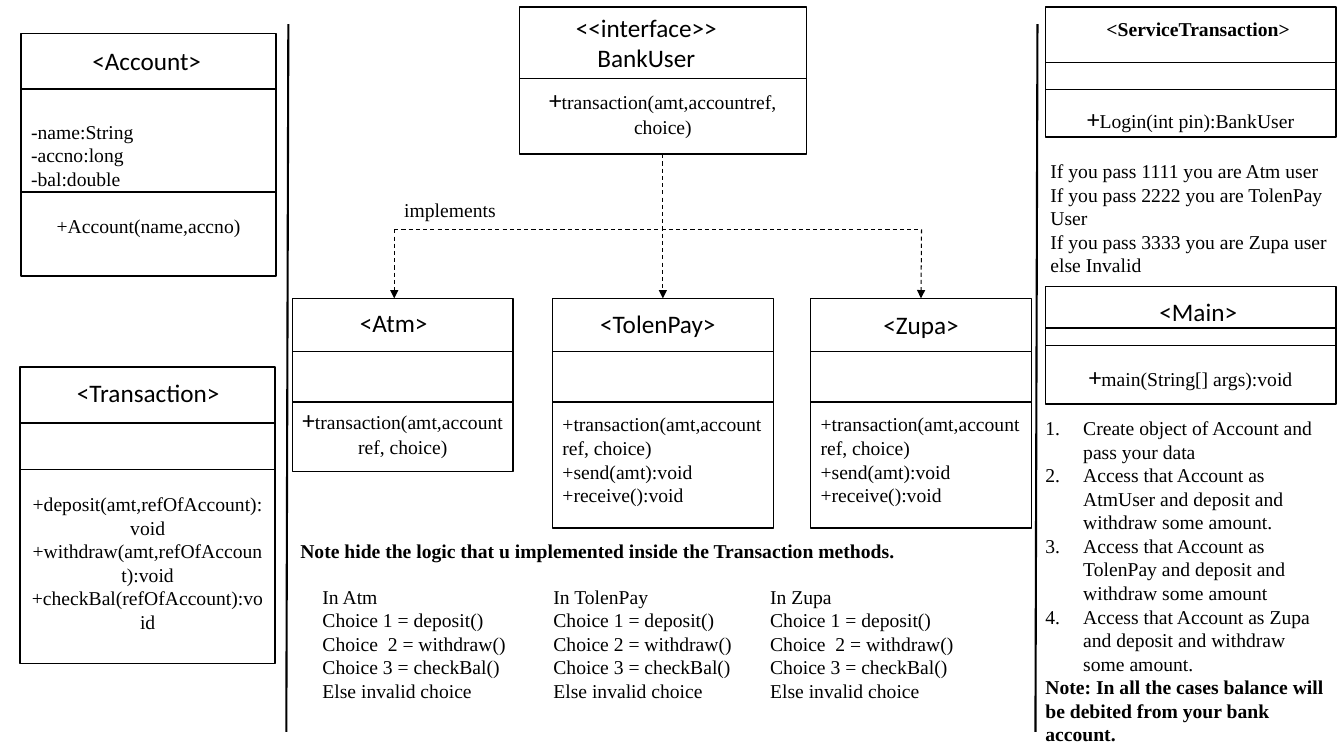
from pptx import Presentation
from pptx.dml.color import RGBColor
from pptx.enum.dml import MSO_LINE
from pptx.enum.shapes import MSO_CONNECTOR, MSO_SHAPE
from pptx.enum.text import MSO_ANCHOR, PP_ALIGN
from pptx.oxml.ns import qn
from pptx.util import Inches, Pt
from lxml import etree

LEFT, CENTER = PP_ALIGN.LEFT, PP_ALIGN.CENTER
TOP, MIDDLE = MSO_ANCHOR.TOP, MSO_ANCHOR.MIDDLE
STRAIGHT, RECTANGLE, DASH = MSO_CONNECTOR.STRAIGHT, MSO_SHAPE.RECTANGLE, MSO_LINE.DASH

COLORS = {"ink": "000000", "paper": "FFFFFF"}
STYLES = {  # font, size, bold
    "heading": ("Calibri", 18, False),
    "body": ("Times New Roman", 14, False),
    "strong": ("Times New Roman", 14, True),
}
COLUMNS, ROWS = 133.3, 75  # grid cells are a tenth of an inch
BLANK = 3.05  # rows taken by one heading line


def cells(count):
    return Inches(count / 10)


def color(name):
    return RGBColor.from_string(COLORS[name])


class ClassDiagram:
    def __init__(self, presentation):
        self.slide = presentation.slides.add_slide(presentation.slide_layouts[6])

    def fill_text(self, frame, lines, style="body", align=LEFT):
        """Each line is a string or a list of (text, style) runs."""
        frame.word_wrap = True
        for index, line in enumerate(lines):
            paragraph = frame.paragraphs[0] if index == 0 else frame.add_paragraph()
            paragraph.alignment = align
            for text, run_style in [(line, style)] if isinstance(line, str) else line:
                run = paragraph.add_run()
                run.text = text
                run.font.name, size, run.font.bold = STYLES[run_style]
                run.font.size = Pt(size)
                run.font.color.rgb = color("ink")

    def text(self, column, row, width, height, lines, style="body", align=LEFT):
        shape = self.slide.shapes.add_textbox(*map(cells, (column, row, width, height)))
        shape.text_frame.vertical_anchor = TOP
        self.fill_text(shape.text_frame, lines, style, align)
        return shape

    def line(self, start, end, width=1, dashed=False, arrow=False):
        connector = self.slide.shapes.add_connector(STRAIGHT, *map(cells, (*start, *end)))
        connector.line.color.rgb = color("ink")
        connector.line.width = Pt(width)
        if dashed:
            connector.line.dash_style = DASH
        if arrow:
            outline = connector._element.spPr.find(qn("a:ln"))
            etree.SubElement(outline, qn("a:tailEnd"), type="triangle")
        etree.SubElement(connector._element.spPr, qn("a:effectLst"))
        return connector

    def class_box(self, area, title, dividers, members, skip, align=CENTER):
        """title is (column, row, width, lines, style); skip is the room above members."""
        column, row, width, height = area
        box = self.slide.shapes.add_shape(RECTANGLE, *map(cells, area))
        box.shadow.inherit = False
        box.fill.solid()
        box.fill.fore_color.rgb = color("paper")
        box.line.color.rgb = color("ink")
        box.line.width = Pt(1)
        box.text_frame.vertical_anchor = MIDDLE
        box.text_frame.margin_top = cells(0.5 + skip)
        self.fill_text(box.text_frame, members, align=align)
        for level in dividers:
            divider = self.line((column, level), (column + width, level))
            if abs(level - row - height / 2) < 0.1:
                divider.begin_connect(box, 1)
                divider.end_connect(box, 3)
        title_column, title_row, title_width, lines, style = title
        self.text(title_column, title_row, title_width, 4 * len(lines), lines, style, CENTER)
        return box

    def number(self, paragraph):
        properties = paragraph._p.get_or_add_pPr()
        properties.set("marL", str(cells(3.75)))
        properties.set("indent", str(-cells(3.75)))
        etree.SubElement(properties, qn("a:buFont"), typeface="+mj-lt")
        etree.SubElement(properties, qn("a:buAutoNum"), type="arabicPeriod")


def main():
    presentation = Presentation()
    presentation.slide_width, presentation.slide_height = cells(COLUMNS), cells(ROWS)
    diagram = ClassDiagram(presentation)

    # Column separators
    for column in (28.5, 102.8):
        diagram.line((column + 0.1, 2.4), (column - 0.1, 72.6), 1.5)

    # Left: account classes
    account = diagram.class_box(
        (2.1, 3.3, 25.3, 24.1), (7.6, 4, 13.9, ["<Account>"], "heading"), (8.85, 19.05),
        ["-name:String", "-accno:long", "-bal:double", "+Account(name,accno)"], 4.7, LEFT)
    constructor = account.text_frame.paragraphs[-1]
    constructor.alignment = CENTER
    constructor.space_before = Pt(17)
    diagram.class_box(
        (2, 36.4, 25.3, 29.4), (5.8, 36.9, 17.8, ["<Transaction>"], "heading"), (41.95, 46.6),
        ["+deposit(amt,refOfAccount):void", "+withdraw(amt,refOfAccount):void",
         "+checkBal(refOfAccount):void"], 9.4)

    # Centre: interface and its implementations
    interface = diagram.class_box(
        (51.5, 0.7, 28.5, 14.6), (54, 0.7, 20.2, ["<<interface>>", "BankUser"], "heading"),
        (7.8,), [[("+", "heading"), ("transaction(amt,accountref, choice)", "body")]], 2 * BLANK)
    payment = ["+transaction(amt,accountref, choice)", "+send(amt):void", "+receive():void"]
    implementations = [
        (29, 17.2, (32.1, 30, 13.9, ["<Atm>"], "heading"),
         [[("+", "heading"), ("transaction(amt,accountref, choice)", "body")]], CENTER),
        (54.8, 22.8, (56.5, 30.1, 17.5, ["<TolenPay>"], "heading"), payment, LEFT),
        (80.4, 22.8, (84.4, 30.2, 13.9, ["<Zupa>"], "heading"), payment, LEFT),
    ]
    atm, phone, wallet = [
        diagram.class_box((column, 29.6, 21.9, height), title, (34.9, 39.9),
                          members, 3 * BLANK, align)
        for column, height, title, members, align in implementations]

    # Implements arrows
    branch_row, atm_column, wallet_column = 22.75, 39.1, 91.4
    diagram.line((atm_column, branch_row), (wallet_column, branch_row), 0.75, dashed=True)
    diagram.line((atm_column, branch_row), (atm_column, 29.6), 0.75, True, True)
    trunk = diagram.line((65.7, 15.3), (65.7, 29.6), 0.75, True, True)
    trunk.begin_connect(interface, 2)
    trunk.end_connect(phone, 0)
    wallet_arrow = diagram.line((wallet_column, branch_row), (wallet_column, 29.6), 0.75, True, True)
    wallet_arrow.end_connect(wallet, 0)
    diagram.text(39.1, 19.1, 16.4, 3.4, ["implements"])

    # Centre: notes on the choices
    diagram.text(28.8, 53, 65.2, 3.4,
                 ["Note hide the logic that u implemented inside the Transaction methods."], "strong")
    for column, name, withdraw in ((31, "Atm", "Choice  2"), (53.9, "TolenPay", "Choice 2"),
                                   (75.4, "Zupa", "Choice  2")):
        diagram.text(column, 57.5, 21.4, 12.8,
                     [f"In {name}", "Choice 1 = deposit()", f"{withdraw} = withdraw()",
                      "Choice 3 = checkBal()", "Else invalid choice"])

    # Right: service and main classes
    diagram.class_box(
        (103.7, 0.7, 28.8, 12.9), (104.5, 1.2, 28.7, ["<ServiceTransaction>"], "strong"),
        (6.2, 8.9), [[("+", "heading"), ("Login(int pin):BankUser", "body")]], 3 * BLANK)
    diagram.text(103.2, 15.3, 30, 15.1,
                 ["If you pass 1111 you are Atm user", "If you pass 2222 you are TolenPay",
                  "User", "If you pass 3333 you are Zupa user", "else Invalid"])
    diagram.class_box(
        (103.7, 28.4, 28.8, 11.7), (104.5, 28.9, 28.7, ["<Main>"], "heading"),
        (32.55, 34.3), [[("+", "heading"), ("main(String[] args):void", "body")]], 2 * BLANK)

    # Right: numbered steps
    steps = ["Create object of Account and pass your data",
             "Access that Account as AtmUser and deposit and withdraw some amount.",
             "Access that Account as TolenPay and deposit and withdraw some amount",
             "Access that Account as Zupa and deposit and withdraw some amount."]
    closing = "Note: In all the cases balance will be debited from your bank account."
    guide = diagram.text(102.7, 40.8, 30, 34, steps + [[(closing, "strong")]])
    for paragraph in guide.text_frame.paragraphs[:len(steps)]:
        diagram.number(paragraph)

    presentation.save("out.pptx")


if __name__ == "__main__":
    main()
